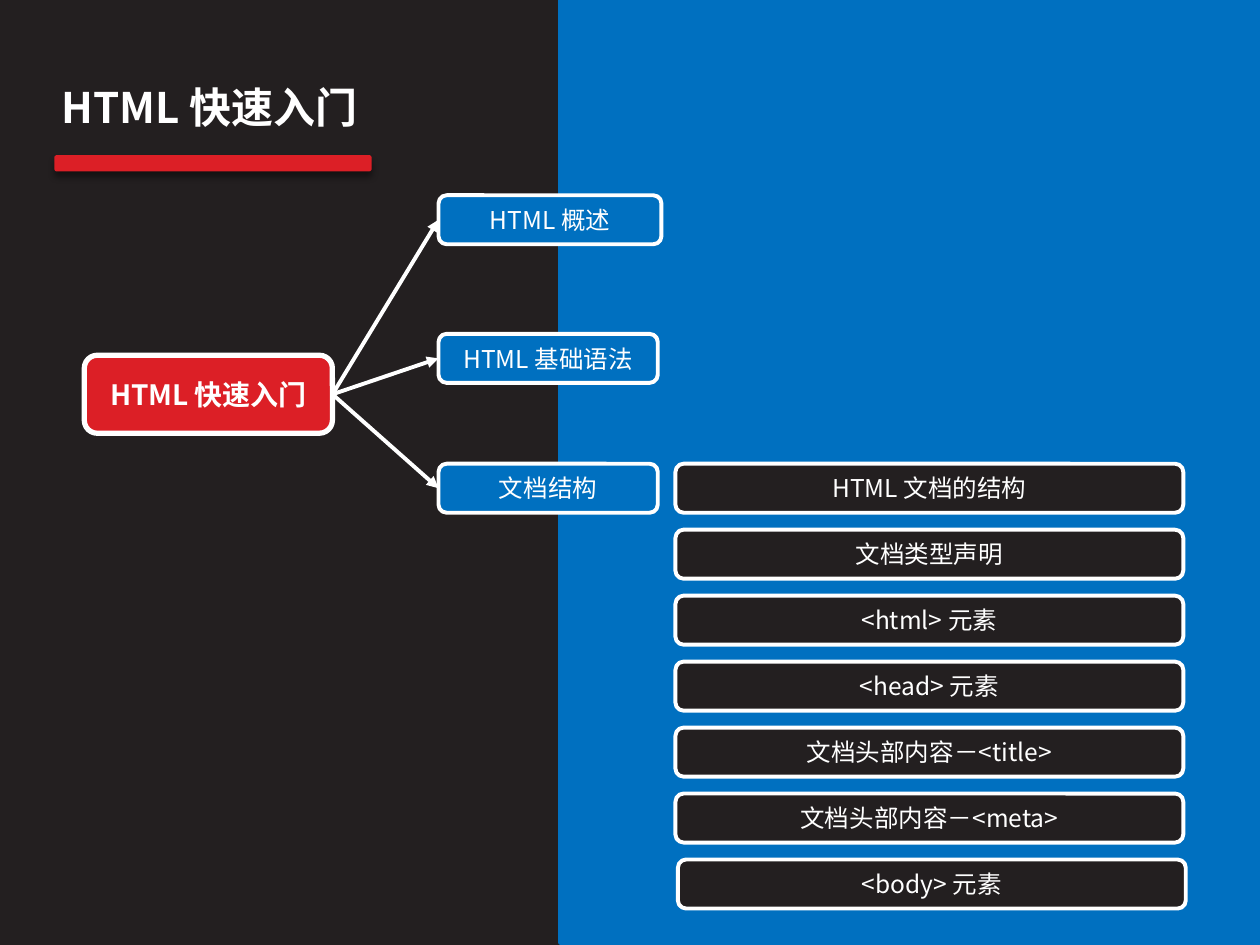
from lxml import etree
from pptx import Presentation
from pptx.dml.color import RGBColor
from pptx.enum import shapes, text
from pptx.oxml import parse_xml
from pptx.oxml.ns import nsdecls, qn
from pptx.util import Pt

FONT = "Noto Sans CJK SC"
DARK, BLUE, RED, WHITE = "231F20", "0070C0", "DC1F26", "FFFFFF"
BOX_H = 28

TOPIC = "HTML 快速入门"
# label, top, width
BRANCHES = [("HTML 概述", 111.6, 127.4),
            ("HTML 基础语法", 190.8, 125.3),
            ("文档结构", 265, 125.3)]
DETAILS = ["HTML 文档的结构", "文档类型声明", "<html> 元素", "<head> 元素",
           "文档头部内容－<title>", "文档头部内容－<meta>", "<body> 元素"]


def rgb(color):
    return RGBColor.from_string(color)


def write(tf, words, size, bold=False):
    """Put one centred white run in a text frame."""
    p = tf.paragraphs[0]
    p.alignment = text.PP_ALIGN.CENTER
    r = p.add_run()
    r.text = words
    r.font.size, r.font.bold, r.font.name = Pt(size), bold, FONT
    r.font.color.rgb = rgb(WHITE)
    # East Asian glyphs take their own typeface, placed right after latin
    ea = etree.Element(qn("a:ea"), typeface=FONT)
    r.font._element.find(qn("a:latin")).addnext(ea)


def add_block(s, preset, left, top, width, height, fill, line=None, weight=2.25):
    sp = s.shapes.add_shape(preset, Pt(left), Pt(top), Pt(width), Pt(height))
    sp.shadow.inherit = False
    sp.fill.solid()
    sp.fill.fore_color.rgb = rgb(fill)
    if line:
        sp.line.color.rgb = rgb(line)
        sp.line.width = Pt(weight)
    else:
        sp.line.fill.background()
    return sp


def add_node(s, words, left, top, width, fill, height=BOX_H, size=14, bold=False, weight=2.25):
    sp = add_block(s, shapes.MSO_SHAPE.ROUNDED_RECTANGLE,
                   left, top, width, height, fill, WHITE, weight)
    sp.text_frame.vertical_anchor = text.MSO_ANCHOR.MIDDLE
    write(sp.text_frame, words, size, bold)
    return sp


def add_arrow(s, start, end):
    """Join the right side of one node to the left side of another."""
    c = s.shapes.add_connector(shapes.MSO_CONNECTOR.STRAIGHT, 0, 0, 0, 0)
    c.begin_connect(start, 3)
    c.end_connect(end, 1)
    c.line.color.rgb = rgb(WHITE)
    c.line.width = Pt(2.25)
    etree.SubElement(c.line._get_or_add_ln(), qn("a:tailEnd"), type="triangle")
    etree.SubElement(c._element.spPr, qn("a:effectLst"))


def add_title(s):
    title = s.shapes.title
    title.left, title.top, title.width, title.height = Pt(20), Pt(43), Pt(199.5), Pt(51)
    tf = title.text_frame
    tf.word_wrap = True
    tf.auto_size = text.MSO_AUTO_SIZE.NONE
    tf.vertical_anchor = text.MSO_ANCHOR.TOP
    write(tf, TOPIC, 24, True)

    bar = add_block(s, shapes.MSO_SHAPE.ROUNDED_RECTANGLE, 31, 88.6, 181.4, 9.4, RED)
    effects = bar._element.spPr.find(qn("a:effectLst"))
    effects.append(parse_xml(
        f'<a:outerShdw {nsdecls("a")} blurRad="{Pt(4)}" dist="{Pt(3)}" dir="5400000" '
        'rotWithShape="0"><a:srgbClr val="000000"><a:alpha val="43000"/></a:srgbClr>'
        '</a:outerShdw>'))


def main():
    prs = Presentation()
    prs.slide_width, prs.slide_height = Pt(720), Pt(540)
    s = prs.slides.add_slide(prs.slide_layouts[5])
    s.background.fill.solid()
    s.background.fill.fore_color.rgb = rgb(DARK)

    add_block(s, shapes.MSO_SHAPE.RECTANGLE, 320.4, 0, 399.6, 538.6, BLUE, BLUE, 3)
    add_title(s)

    root = add_node(s, TOPIC, 48.2, 203, 141.8, RED, height=44.6, size=16, bold=True, weight=3)
    for words, top, width in BRANCHES:
        add_arrow(s, root, add_node(s, words, 250.6, top, width, BLUE))

    for i, words in enumerate(DETAILS):
        left = 387.4 if i == len(DETAILS) - 1 else 386
        add_node(s, words, left, 265 + 37.7 * i, 290.2, DARK)

    prs.save("out.pptx")


if __name__ == "__main__":
    main()
